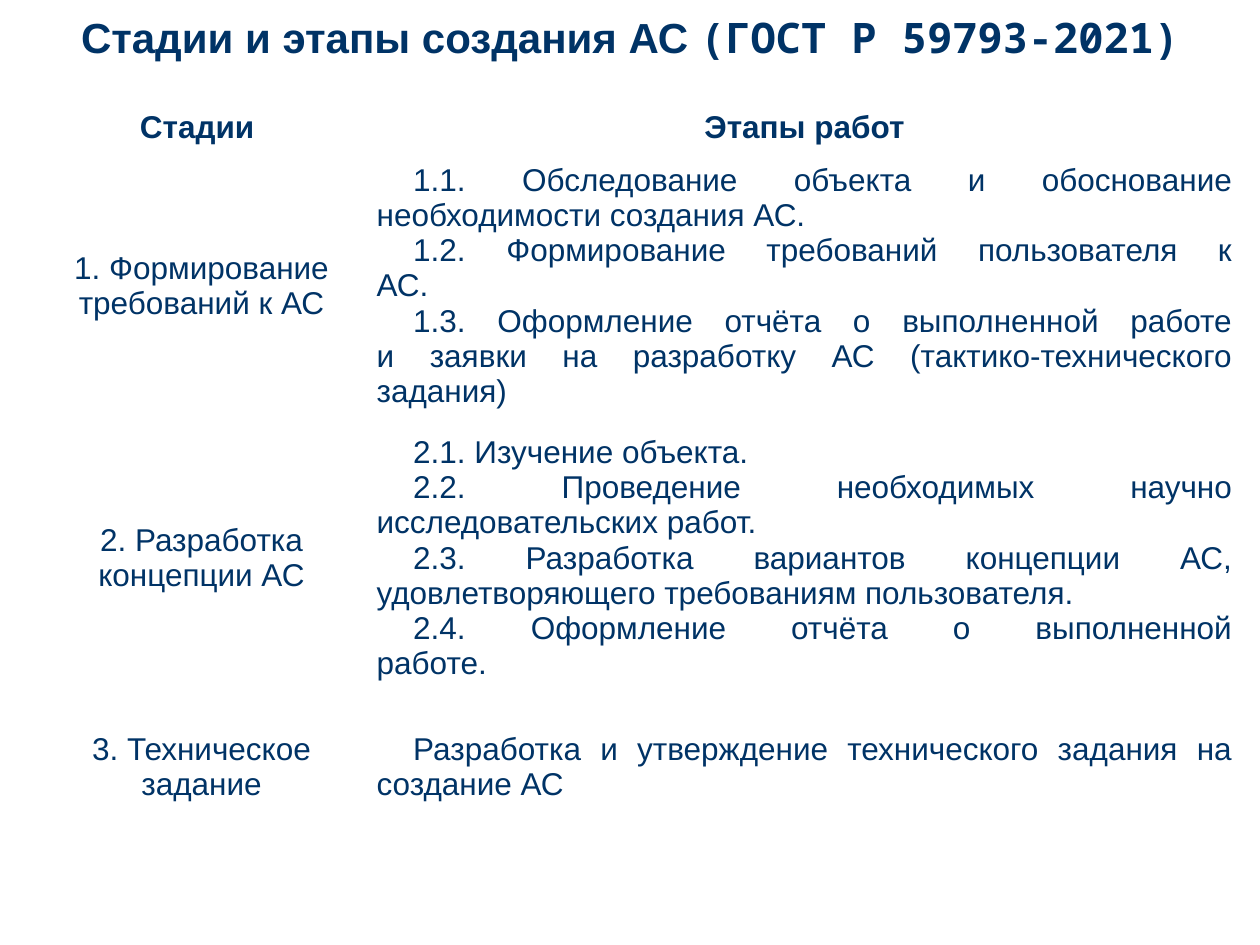
import pptx
import pptx.dml.color
import pptx.enum.text
import pptx.oxml
import pptx.oxml.ns
import pptx.util
from pptx.util import Inches

NAVY = pptx.dml.color.RGBColor(0x00, 0x33, 0x66)
WHITE = pptx.dml.color.RGBColor(0xFF, 0xFF, 0xFF)
ALIGN = pptx.enum.text.PP_ALIGN
ANCHOR = pptx.enum.text.MSO_ANCHOR

COLUMN_WIDTHS = (2.64, 6.93)
ROW_HEIGHTS = (0.36, 2.16, 2.16, 1.15)
HEADINGS = ("Стадии ", "Этапы работ")
STAGES = (
    ("1. Формирование\nтребований к АС", (
        "1.1. Обследование объекта и обоснование\nнеобходимости создания АС.",
        "1.2. Формирование требований пользователя к\nАС.",
        "1.3. Оформление отчёта о выполненной работе\n"
        "и заявки на разработку АС (тактико-технического\nзадания) ",
    )),
    ("2. Разработка\nконцепции АС", (
        "2.1. Изучение объекта.",
        "2.2. Проведение необходимых научно\nисследовательских работ.",
        "2.3. Разработка вариантов концепции АС,\n"
        "удовлетворяющего требованиям пользователя.",
        "2.4. Оформление отчёта о выполненной\nработе.",
    )),
    ("3. Техническое задание", (
        "Разработка и утверждение технического задания на создание АС",
    )),
)


def add_run(paragraph, text, size, bold=False, font="Arial"):
    run = paragraph.add_run()
    run.text = text
    run.font.name = font
    run.font.size = pptx.util.Pt(size)
    run.font.bold = bold
    run.font.color.rgb = NAVY


def add_lines(paragraph, text, bold):
    for number, line in enumerate(text.split("\n")):
        if number:
            paragraph.add_line_break()
        add_run(paragraph, line, 18, bold)


def set_borders(cell):
    properties = cell._tc.get_or_add_tcPr()
    for position, side in enumerate(("lnL", "lnR", "lnT", "lnB")):
        border = pptx.oxml.parse_xml(
            f'<a:{side} {pptx.oxml.ns.nsdecls("a")} w="12700">'
            f'<a:solidFill><a:srgbClr val="{WHITE}"/></a:solidFill></a:{side}>'
        )
        properties.insert(position, border)


def fill_cell(cell, items, alignment=ALIGN.CENTER, bold=False, indent=None):
    cell.fill.background()
    set_borders(cell)
    cell.vertical_anchor = ANCHOR.MIDDLE
    cell.margin_left = cell.margin_right = Inches(0.07)
    cell.margin_top = cell.margin_bottom = Inches(0.03)
    for number, item in enumerate(items):
        frame = cell.text_frame
        paragraph = frame.add_paragraph() if number else frame.paragraphs[0]
        paragraph.alignment = alignment
        if indent:
            properties = paragraph._p.get_or_add_pPr()
            properties.set("marL", "0")
            properties.set("indent", str(Inches(indent)))
        add_lines(paragraph, item, bold)


def add_heading(slide):
    heading = slide.shapes.title
    heading.left, heading.top = Inches(0), Inches(0.04)
    heading.width, heading.height = Inches(10), Inches(0.5)
    frame = heading.text_frame
    frame.word_wrap = True
    frame.auto_size = pptx.enum.text.MSO_AUTO_SIZE.SHAPE_TO_FIT_TEXT
    frame.vertical_anchor = ANCHOR.TOP
    paragraph = frame.paragraphs[0]
    paragraph.alignment = ALIGN.CENTER
    add_run(paragraph, "Стадии и этапы создания АС ", 24, True)
    add_run(paragraph, "(ГОСТ Р 59793-2021)", 24, True, "Noto Sans Mono")


def add_stages(slide):
    stages = slide.shapes.add_table(
        len(ROW_HEIGHTS), len(COLUMN_WIDTHS), Inches(0.28), Inches(0.83),
        Inches(sum(COLUMN_WIDTHS)), Inches(sum(ROW_HEIGHTS)),
    ).table
    stages.first_row = stages.horz_banding = False
    for column, width in zip(stages.columns, COLUMN_WIDTHS):
        column.width = Inches(width)
    for row, height in zip(stages.rows, ROW_HEIGHTS):
        row.height = Inches(height)
    for column, heading in enumerate(HEADINGS):
        fill_cell(stages.cell(0, column), [heading], bold=True)
    for row, (stage, steps) in enumerate(STAGES, start=1):
        fill_cell(stages.cell(row, 0), [stage])
        fill_cell(stages.cell(row, 1), steps, ALIGN.JUSTIFY, indent=0.29)


def main():
    deck = pptx.Presentation()
    deck.slide_width, deck.slide_height = Inches(10), Inches(7.5)
    slide = deck.slides.add_slide(deck.slide_layouts[5])
    add_stages(slide)
    add_heading(slide)
    deck.save("out.pptx")


if __name__ == "__main__":
    main()
